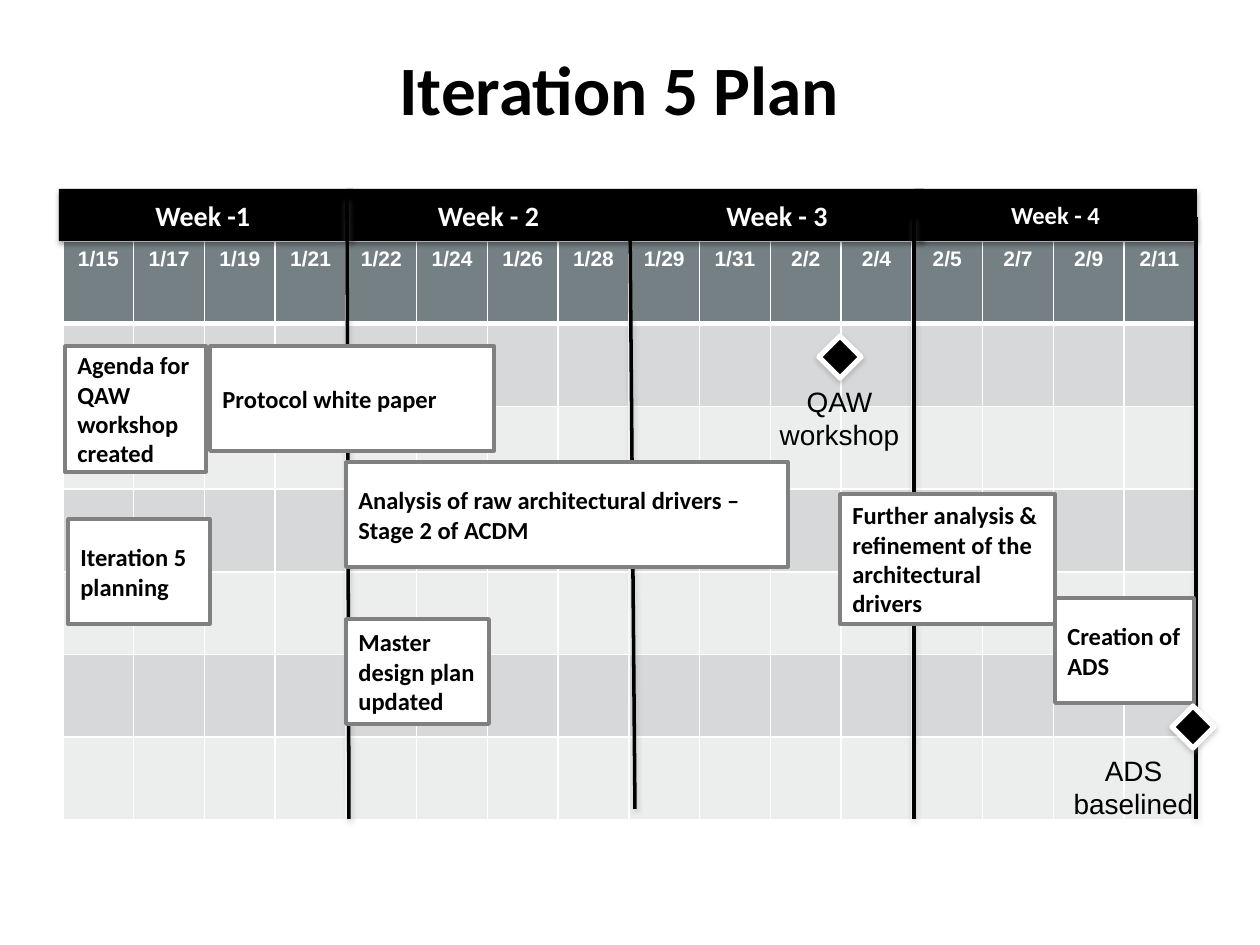
import pptx
import pptx.util
import pptx.dml.color
import pptx.enum.shapes
import pptx.enum.text
import pptx.oxml
import pptx.oxml.ns

PX = 914400 // 126
INK = {"black": "000000", "white": "FFFFFF", "gray": "808080",
       "head": "758085", "dark": "D6D8D9", "light": "ECEDED"}
COLOR = {k: pptx.dml.color.RGBColor.from_string(v) for k, v in INK.items()}
KIND = pptx.enum.shapes.MSO_SHAPE
ALIGN = pptx.enum.text.PP_ALIGN
MID = pptx.enum.text.MSO_ANCHOR.MIDDLE
NS = pptx.oxml.ns.nsdecls("a")
Pt = pptx.util.Pt


def write(frame, text, size, font, color, bold, align):
    frame.text = text
    frame.word_wrap = True
    para = frame.paragraphs[0]
    para.alignment = align
    face = para.runs[0].font
    face.size, face.name, face.bold = Pt(size), font, bold
    face.color.rgb = COLOR[color]


def shade(item, color, alpha, dist):
    props = item._element.spPr
    for old in props.findall(pptx.oxml.ns.qn("a:effectLst")):
        props.remove(old)
    props.append(pptx.oxml.parse_xml(
        f'<a:effectLst {NS}><a:outerShdw blurRad="{Pt(3.1)}" dist="{Pt(dist)}" '
        f'dir="5400000" rotWithShape="0"><a:srgbClr val="{INK[color]}">'
        f'<a:alpha val="{alpha * 1000}"/></a:srgbClr></a:outerShdw></a:effectLst>'))


deck = pptx.Presentation()
deck.slide_width, deck.slide_height = 1260 * PX, 945 * PX
slide = deck.slides.add_slide(deck.slide_layouts[6])
shapes = slide.shapes

# Day grid
days = ["1/15", "1/17", "1/19", "1/21", "1/22", "1/24", "1/26", "1/28",
        "1/29", "1/31", "2/2", "2/4", "2/5", "2/7", "2/9", "2/11"]
rows = 7
grid = shapes.add_table(rows, len(days), 63 * PX, 241 * PX, 1132 * PX, 579 * PX).table
for col in grid.columns:
    col.width = 1132 * PX // len(days)
for r, row in enumerate(grid.rows):
    row.height = 579 * PX // rows
    for c, cell in enumerate(row.cells):
        props = cell._tc.get_or_add_tcPr()
        for side in "LRTB":
            thick = 3 if (r, side) in [(0, "B"), (1, "T")] else 1
            props.append(pptx.oxml.parse_xml(
                f'<a:ln{side} {NS} w="{Pt(thick)}"><a:solidFill>'
                f'<a:srgbClr val="{INK["white"]}"/></a:solidFill></a:ln{side}>'))
        cell.fill.solid()
        cell.fill.fore_color.rgb = COLOR["head" if r == 0 else "dark" if r % 2 else "light"]
        if r == 0:
            write(cell.text_frame, days[c], 12, "Arial", "white", True, ALIGN.CENTER)

# Week headers and dividers, from back to front
weeks = {1: ("Week -1 ", 59, 294, 16), 2: ("Week - 2", 347, 283, 16),
         3: ("Week - 3", 630, 294, 16), 4: ("Week - 4", 914, 283, 14)}
lines = {"mid": (630, 217, 635, 809), "end": (1196, 217, 1196, 819),
         "late": (914, 218, 914, 819), "early": (347, 199, 349, 819)}
for key in [1, "mid", "end", 2, 3, 4, "late", "early"]:
    if key in weeks:
        text, x, w, size = weeks[key]
        bar = shapes.add_shape(KIND.RECTANGLE, x * PX, 189 * PX, w * PX, 52 * PX)
        bar.fill.solid()
        bar.fill.fore_color.rgb = COLOR["black"]
        bar.line.fill.background()
        bar.text_frame.vertical_anchor = MID
        write(bar.text_frame, text, size, "Calibri", "white", True, ALIGN.CENTER)
        shade(bar, "black", 35, 1.8)
    else:
        ends = [v * PX for v in lines[key]]
        rule = shapes.add_connector(pptx.enum.shapes.MSO_CONNECTOR.STRAIGHT, *ends)
        rule.line.color.rgb = COLOR["black"]
        rule.line.width = Pt(2)
        shade(rule, "gray", 38, 1.6)

# Title
title = shapes.add_textbox(34 * PX, 61 * PX, 1171 * PX, 54 * PX)
title.text_frame.vertical_anchor = MID
write(title.text_frame, "Iteration 5 Plan", 39.6, "Calibri", "black", True, ALIGN.CENTER)

# Tasks
tasks = [("Protocol white paper", 210, 346, 284, 105),
         ("Agenda for QAW workshop created", 65, 346, 141, 126),
         ("Iteration 5 planning", 68, 519, 142, 105),
         ("Analysis of raw architectural drivers – Stage 2 of ACDM", 346, 462, 442, 105),
         ("Master design plan updated", 346, 619, 143, 105),
         ("Further analysis & refinement of the architectural drivers", 840, 494, 215, 130),
         ("Creation of ADS", 1055, 598, 139, 105)]
for text, *spot in tasks:
    box = shapes.add_shape(KIND.RECTANGLE, *[v * PX for v in spot])
    box.shadow.inherit = False
    box.fill.solid()
    box.fill.fore_color.rgb = COLOR["white"]
    box.line.color.rgb = COLOR["gray"]
    box.line.width = Pt(2)
    box.text_frame.vertical_anchor = MID
    write(box.text_frame, text, 14, "Calibri", "black", True, ALIGN.LEFT)

# Milestones
for text, x, y, left, top in [("QAW workshop", 819, 336, 745, 378),
                              ("ADS baselined", 1172, 706, 1039, 747)]:
    mark = shapes.add_shape(KIND.DIAMOND, x * PX, y * PX, 42 * PX, 42 * PX)
    mark.fill.solid()
    mark.fill.fore_color.rgb = COLOR["black"]
    mark.line.color.rgb = COLOR["white"]
    mark.line.width = Pt(3)
    shade(mark, "gray", 38, 1.6)
    note = shapes.add_textbox(left * PX, top * PX, 189 * PX, 81 * PX)
    write(note.text_frame, text, 16, "Arial", "black", False, ALIGN.CENTER)

deck.save("out.pptx")
